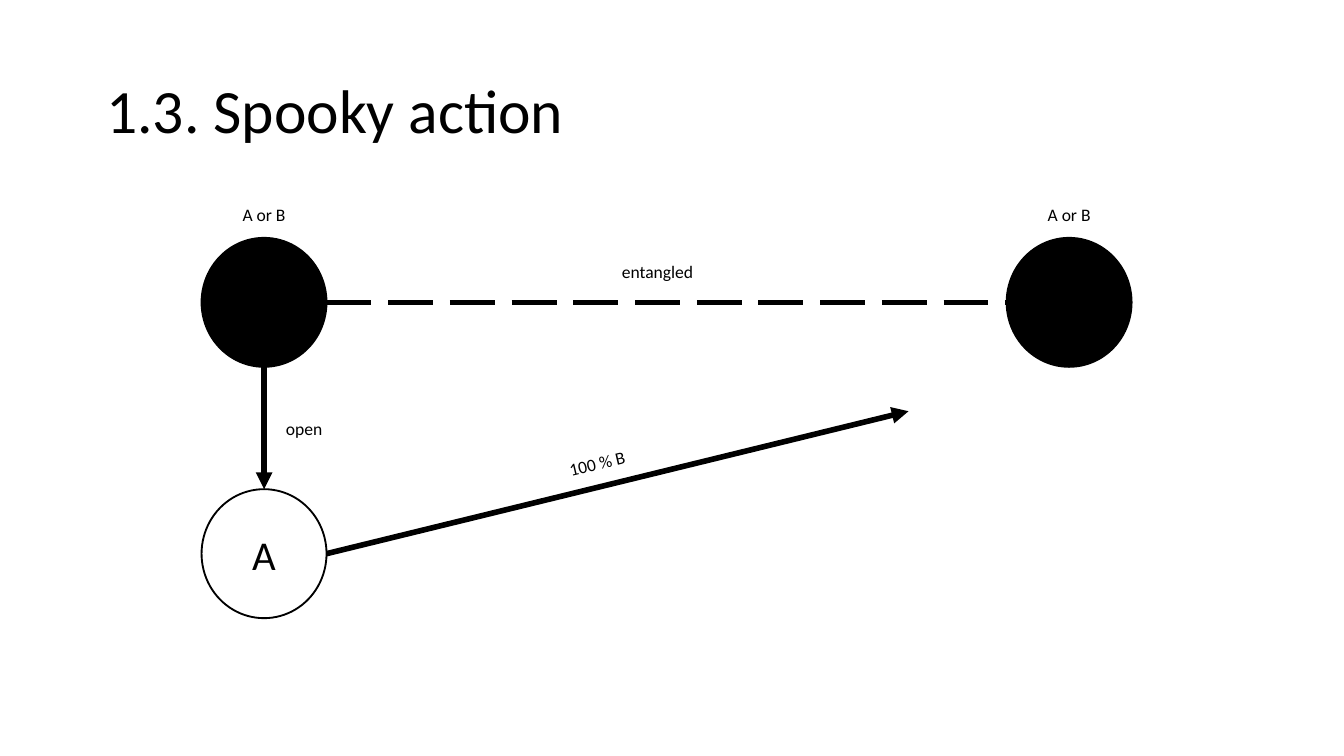
from lxml import etree
from pptx import Presentation
from pptx.dml.color import RGBColor
from pptx.enum.dml import MSO_LINE
from pptx.enum.shapes import MSO_CONNECTOR, MSO_SHAPE
from pptx.enum.text import MSO_ANCHOR, MSO_AUTO_SIZE, PP_ALIGN
from pptx.oxml.ns import qn
from pptx.util import Inches, Pt

OVAL = MSO_SHAPE.OVAL
STRAIGHT = MSO_CONNECTOR.STRAIGHT
LONG_DASH = MSO_LINE.LONG_DASH
MIDDLE = MSO_ANCHOR.MIDDLE
LEFT, CENTER = PP_ALIGN.LEFT, PP_ALIGN.CENTER
NO_FIT, GROW = MSO_AUTO_SIZE.NONE, MSO_AUTO_SIZE.SHAPE_TO_FIT_TEXT

COLORS = {"ink": "000000", "paper": "FFFFFF"}
INK = RGBColor.from_string(COLORS["ink"])

SLIDE_W = 10
BALL_W, BALL_H = 0.93, 0.96
LEFT_X, RIGHT_X = 1.5, 7.49
TOP_Y, OPENED_Y = 1.77, 3.64
LABEL_H = 0.26

prs = Presentation()
prs.slide_width, prs.slide_height = Inches(SLIDE_W), Inches(SLIDE_W * 9 / 16)
slide = prs.slides.add_slide(prs.slide_layouts[5])
slide.background.fill.solid()
slide.background.fill.fore_color.rgb = RGBColor.from_string(COLORS["paper"])


def write(frame, text, size, align):
    """Put one formatted run into the first paragraph of a text frame."""
    paragraph = frame.paragraphs[0]
    paragraph.alignment = align
    run = paragraph.add_run()
    run.text = text
    run.font.name = "Calibri"
    run.font.size = Pt(size)
    run.font.color.rgb = INK


# Title
title = slide.shapes.title
title.left, title.top = Inches(0.69), Inches(0.3)
title.width, title.height = Inches(8.62), Inches(1.09)
title.text_frame.auto_size = NO_FIT
title.text_frame.vertical_anchor = MIDDLE
title.text_frame.paragraphs[0].line_spacing = 0.9
write(title.text_frame, "1.3. Spooky action", 33, LEFT)

# Particles: one opened (white, lettered) and two closed (black)
for x, y, letter in [(LEFT_X, OPENED_Y, "A"), (LEFT_X, TOP_Y, ""), (RIGHT_X, TOP_Y, "")]:
    particle = slide.shapes.add_shape(OVAL, Inches(x), Inches(y), Inches(BALL_W), Inches(BALL_H))
    particle.shadow.inherit = False
    particle.line.color.rgb = INK
    particle.line.width = Pt(1)
    if letter:
        particle.fill.background()
        particle.text_frame.vertical_anchor = MIDDLE
        write(particle.text_frame, letter, 21.9, CENTER)
    else:
        particle.fill.solid()
        particle.fill.fore_color.rgb = INK

# Links between the particles: start, end, dashed
ball_right = LEFT_X + BALL_W
ball_middle = LEFT_X + BALL_W / 2
top_middle = TOP_Y + BALL_H / 2
opened_middle = OPENED_Y + BALL_H / 2
links = [
    ((ball_right, top_middle), (RIGHT_X, top_middle), True),
    ((ball_middle, TOP_Y + BALL_H), (ball_middle, OPENED_Y), False),
    ((ball_right, opened_middle), (6.76, 3.06), False),
]
for start, end, dashed in links:
    link = slide.shapes.add_connector(STRAIGHT, *(Inches(v) for v in start + end))
    link.line.color.rgb = INK
    link.line.width = Pt(3)
    if dashed:
        link.line.dash_style = LONG_DASH
    else:
        etree.SubElement(link.line._get_or_add_ln(), qn("a:tailEnd"), type="triangle")
    etree.SubElement(link._element.spPr, qn("a:effectLst"))

# Labels: text, left, top, alignment, rotation
labels = [
    ("entangled", 4.53, 1.89, LEFT, 0),
    ("open", 2.03, 3.06, LEFT, 0),
    ("A or B", RIGHT_X, 1.47, CENTER, 0),
    ("A or B", LEFT_X, 1.47, CENTER, 0),
    ("100 % B", 4.13, 3.28, LEFT, 346.6),
]
for text, x, y, align, rotation in labels:
    label = slide.shapes.add_textbox(Inches(x), Inches(y), Inches(BALL_W), Inches(LABEL_H))
    label.rotation = rotation
    label.text_frame.word_wrap = True
    label.text_frame.auto_size = GROW
    write(label.text_frame, text, 9.4, align)

prs.save("out.pptx")
